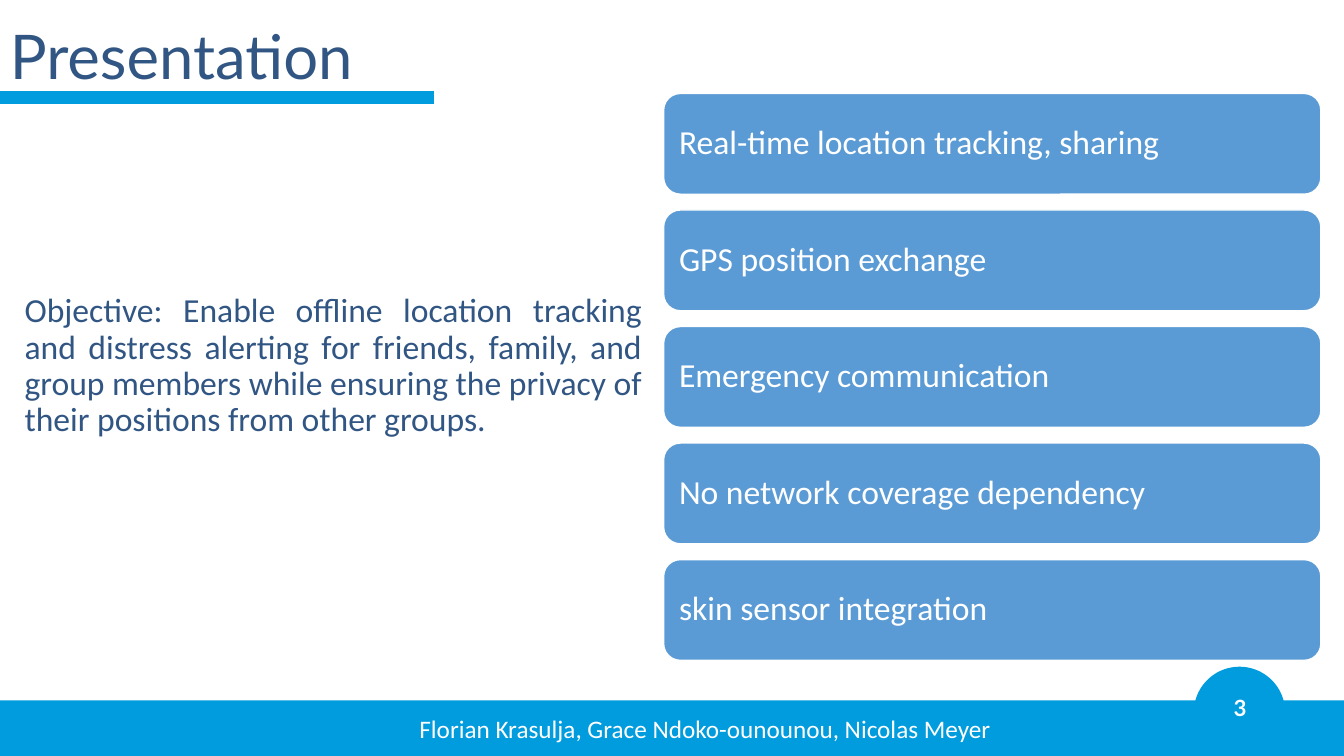
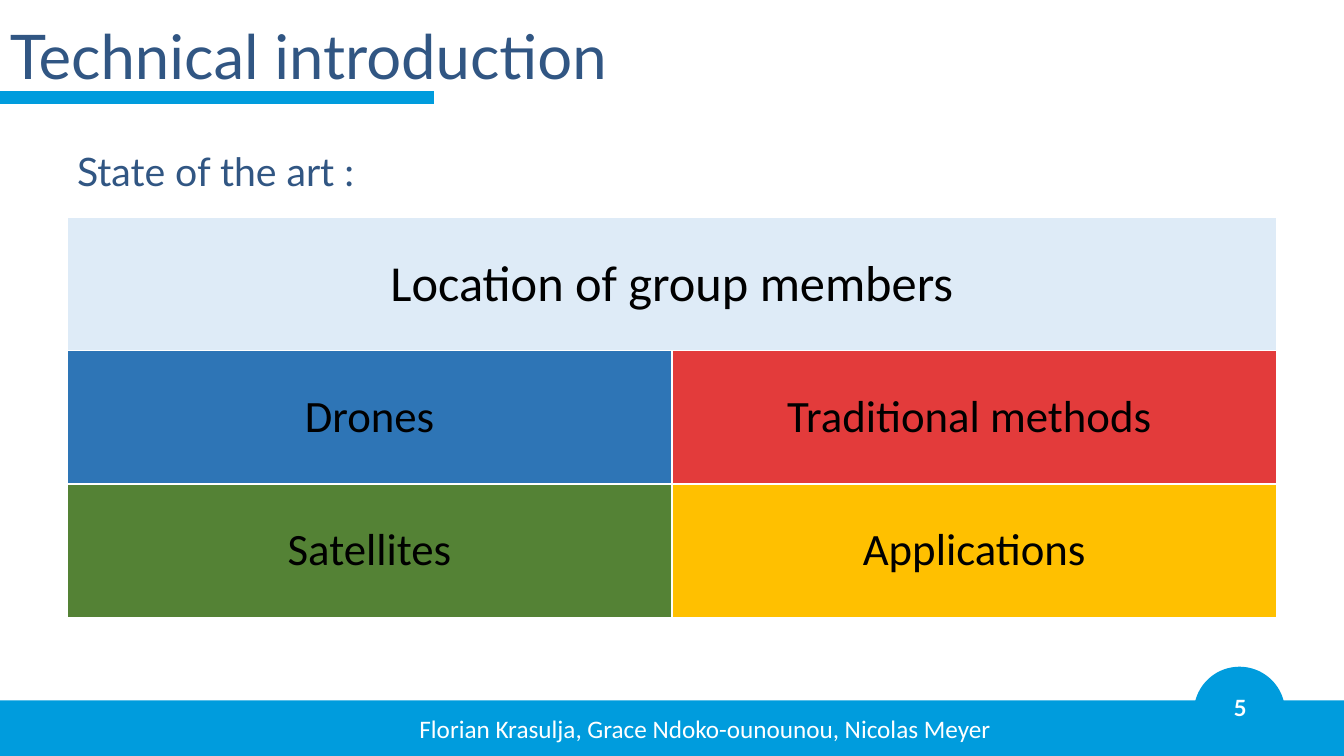
from pptx import Presentation
from pptx.dml.color import RGBColor
from pptx.enum.shapes import MSO_CONNECTOR, MSO_SHAPE
from pptx.enum.text import MSO_ANCHOR, PP_ALIGN
from pptx.oxml import parse_xml
from pptx.oxml.ns import nsdecls
from pptx.util import Pt

PX = 9525  # EMU in one px, 96 px to the inch
SLIDE_W, SLIDE_H = 1280, 720

COLOURS = {
    "accent": "009CDD", "navy": "315683", "card": "5B9BD5",
    "white": "FFFFFF", "black": "000000", "pale": "DEEBF7",
    "blue": "2E75B6", "red": "E33B3B", "green": "548235", "gold": "FFC000",
}

AUTHORS = "Florian Krasulja, Grace Ndoko-ounounou, Nicolas Meyer"

OVERVIEW = {
    "title": "Presentation",
    "number": 3,
    "objective": "Objective: Enable offline location tracking and distress "
                 "alerting for friends, family, and group members while "
                 "ensuring the privacy of their positions from other groups.",
    "features": [
        "Real-time location tracking, sharing",
        "GPS position exchange",
        "Emergency communication",
        "No network coverage dependency",
        "skin sensor integration",
    ],
}

STATE_OF_ART = {
    "title": "Technical introduction",
    "number": 5,
    "heading": "State of the art :",
    "topic": ("Location of group members", "pale"),
    "approaches": [
        [("Drones", "blue"), ("Traditional methods ", "red")],
        [("Satellites", "green"), ("Applications", "gold")],
    ],
}


def px(*lengths):
    return [length * PX for length in lengths]


def rgb(name):
    return RGBColor.from_string(COLOURS[name])


def write(frame, text, size, colour="navy", font="Calibri", bold=False,
          align=PP_ALIGN.LEFT, line=None, before=None):
    frame.word_wrap = True
    paragraph = frame.paragraphs[0]
    paragraph.alignment = align
    paragraph.line_spacing = line
    paragraph.space_before = before
    run = paragraph.add_run()
    run.text = text
    run.font.size = Pt(size)
    run.font.name = font
    run.font.bold = bold
    run.font.color.rgb = rgb(colour)


def add_text(slide, box, text, size, anchor=MSO_ANCHOR.TOP, **style):
    frame = slide.shapes.add_textbox(*px(*box)).text_frame
    frame.vertical_anchor = anchor
    write(frame, text, size, **style)


def add_block(slide, kind, box, fill, outline=None):
    block = slide.shapes.add_shape(kind, *px(*box))
    block.shadow.inherit = False
    block.fill.solid()
    block.fill.fore_color.rgb = rgb(fill)
    if outline:
        block.line.color.rgb = rgb(outline)
        block.line.width = Pt(1)
    else:
        block.line.fill.background()
    return block


def add_slide(deck, title, number):
    """Start a slide with the shared footer, page badge and underlined title."""
    slide = deck.slides.add_slide(deck.slide_layouts[6])
    add_block(slide, MSO_SHAPE.RECTANGLE, (0, 667, SLIDE_W, SLIDE_H - 667), "accent")
    add_block(slide, MSO_SHAPE.OVAL, (1137, 635, 87, 87), "accent")
    add_text(slide, (1143, 656, 76, 32), str(number), 16, colour="white",
             font="Lato", bold=True, align=PP_ALIGN.CENTER)
    underline = slide.shapes.add_connector(MSO_CONNECTOR.STRAIGHT, *px(0, 93, 413, 93))
    underline.line.color.rgb = rgb("accent")
    underline.line.width = Pt(9)
    underline._element.spPr.append(parse_xml(f"<a:effectLst {nsdecls('a')}/>"))
    add_text(slide, (390, 675, 643, 38), AUTHORS, 18, colour="white")
    add_text(slide, (0, 0, 1104, 113), title, 44, font="Lato",
             anchor=MSO_ANCHOR.MIDDLE, line=0.9)
    return slide


def add_feature_cards(slide, features):
    left, top, width, height, pitch = 632, 89, 626, 96, 111
    for row, feature in enumerate(features):
        card = add_block(slide, MSO_SHAPE.ROUNDED_RECTANGLE,
                         (left, top + row * pitch, width, height), "card", "white")
        frame = card.text_frame
        frame.margin_left = 10 * PX
        frame.vertical_anchor = MSO_ANCHOR.MIDDLE
        write(frame, feature, 24, colour="white", line=0.9)


def fill_cell(cell, text, fill, size):
    properties = cell._tc.get_or_add_tcPr()
    for side in "LRTB":
        properties.append(parse_xml(
            f'<a:ln{side} {nsdecls("a")} w="12700"><a:solidFill>'
            f'<a:srgbClr val="{COLOURS["white"]}"/></a:solidFill></a:ln{side}>'))
    cell.fill.solid()
    cell.fill.fore_color.rgb = rgb(fill)
    cell.vertical_anchor = MSO_ANCHOR.MIDDLE
    if text:
        write(cell.text_frame, text, size, colour="black", align=PP_ALIGN.CENTER)


def add_approach_table(slide, topic, approaches):
    rows = [[topic, ("", topic[1])], *approaches]
    table = slide.shapes.add_table(len(rows), 2, *px(64, 207, 1152, 381)).table
    table.first_row = table.horz_banding = False
    table.cell(0, 0).merge(table.cell(0, 1))
    for r, row in enumerate(rows):
        for c, (text, fill) in enumerate(row):
            fill_cell(table.cell(r, c), text, fill, 32 if r else 36)


def build_overview(deck):
    slide = add_slide(deck, OVERVIEW["title"], OVERVIEW["number"])
    add_text(slide, (14, 275, 607, 291), OVERVIEW["objective"], 24,
             align=PP_ALIGN.JUSTIFY, line=0.9, before=Pt(10))
    add_feature_cards(slide, OVERVIEW["features"])


def build_state_of_art(deck):
    slide = add_slide(deck, STATE_OF_ART["title"], STATE_OF_ART["number"])
    add_approach_table(slide, STATE_OF_ART["topic"], STATE_OF_ART["approaches"])
    add_text(slide, (64, 136, 335, 55), STATE_OF_ART["heading"], 28, font="Lato")


def main():
    deck = Presentation()
    deck.slide_width, deck.slide_height = px(SLIDE_W, SLIDE_H)
    build_overview(deck)
    build_state_of_art(deck)
    deck.save("out.pptx")


if __name__ == "__main__":
    main()
